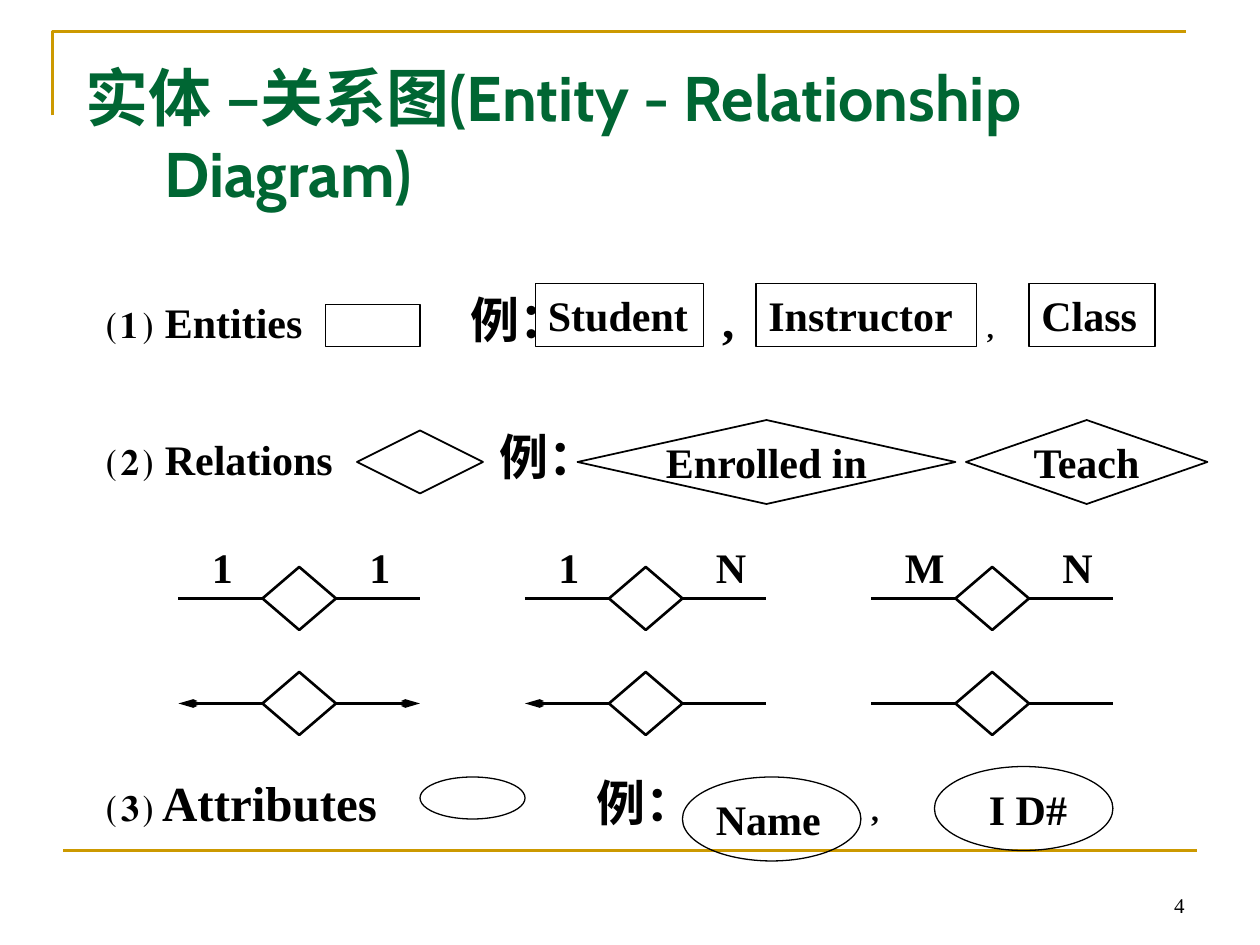
from pptx import Presentation
from pptx.dml.color import RGBColor
from pptx.enum.shapes import MSO_CONNECTOR, MSO_SHAPE
from pptx.enum.text import MSO_ANCHOR, MSO_AUTO_SIZE, PP_ALIGN
from pptx.oxml.ns import qn
from pptx.util import Pt
from lxml.etree import SubElement

PX = 7620  # EMU per px, 120 px to the inch
BLACK = RGBColor(0x00, 0x00, 0x00)
GREEN = RGBColor(0x00, 0x66, 0x33)
GOLD = RGBColor(0xCC, 0x99, 0x00)
SERIF = "Times New Roman"
SANS = "Cabin"


class SlideBuilder:
    def __init__(self, slide):
        self.slide = slide
        self.shapes = slide.shapes

    def start_group(self):
        self.shapes = self.slide.shapes.add_group_shape().shapes

    def style_outline(self, shape, color, width):
        shape.shadow.inherit = False
        shape.fill.background()
        shape.line.color.rgb = color
        shape.line.width = Pt(width)

    def fill_text(self, shape, runs, before=0, align=PP_ALIGN.LEFT,
                  anchor=MSO_ANCHOR.TOP, wrap=True, grow=True, tabs=(), hanging=0):
        """Each run is (text, size) or (text, size, font, color, bold)."""
        frame = shape.text_frame
        frame.word_wrap = wrap
        frame.auto_size = MSO_AUTO_SIZE.SHAPE_TO_FIT_TEXT if grow else MSO_AUTO_SIZE.NONE
        frame.vertical_anchor = anchor
        paragraph = frame.paragraphs[0]
        paragraph.alignment = align
        paragraph.space_before = Pt(before)
        properties = paragraph._p.get_or_add_pPr()
        if hanging:
            properties.set("marL", str(hanging * PX))
            properties.set("indent", str(-hanging * PX))
        if tabs:
            tab_list = SubElement(properties, qn("a:tabLst"))
            for position in tabs:
                SubElement(tab_list, qn("a:tab"), pos=str(position * PX), algn="l")
        for text, size, *style in runs:
            font_name, color, bold = style or (SERIF, BLACK, True)
            run = paragraph.add_run()
            run.text = text
            run.font.size = Pt(size)
            run.font.name = font_name
            run.font.bold = bold
            run.font.color.rgb = color

    def text(self, left, top, width, height, runs, **layout):
        box = self.shapes.add_textbox(left * PX, top * PX, width * PX, height * PX)
        self.fill_text(box, runs, **layout)

    def outline(self, kind, left, top, width, height, line_width=0.75, label="", **layout):
        shape = self.shapes.add_shape(kind, left * PX, top * PX, width * PX, height * PX)
        self.style_outline(shape, BLACK, line_width)
        if label:
            self.fill_text(shape, [(label, 24)], **layout)

    def line(self, x1, y1, x2, y2, color=BLACK, arrow_end=None):
        connector = self.shapes.add_connector(
            MSO_CONNECTOR.STRAIGHT, x1 * PX, y1 * PX, x2 * PX, y2 * PX)
        connector.line.color.rgb = color
        connector.line.width = Pt(1.5)
        properties = connector._element.spPr
        if arrow_end:
            SubElement(properties.find(qn("a:ln")), qn(arrow_end),
                       type="arrow", w="sm", len="lg")
        SubElement(properties, qn("a:effectLst"))

    def corner(self, points):
        builder = self.shapes.build_freeform(*points[0], scale=PX)
        builder.add_line_segments(points[1:], close=False)
        self.style_outline(builder.convert_to_shape(), GOLD, 1.5)


def main():
    presentation = Presentation()
    presentation.slide_width = 1200 * PX
    presentation.slide_height = 900 * PX
    slide = presentation.slides.add_slide(presentation.slide_layouts[6])
    page = SlideBuilder(slide)

    # Frame lines, page number and title
    page.corner([(50, 110), (50, 30), (1130, 30)])
    page.line(60, 810, 1140, 810, GOLD)
    page.text(860, 820, 280, 60, [("4", 12, SERIF, BLACK, False)],
              align=PP_ALIGN.RIGHT, anchor=MSO_ANCHOR.BOTTOM, grow=False)
    page.text(70, 50, 1030, 180, [
        ("实体 ", 36, SANS, GREEN, True),
        ("–", 36, SERIF, GREEN, True),
        ("关系图(Entity - Relationship Diagram)", 36, SANS, GREEN, True),
    ], before=9, grow=False, hanging=75)

    # Entities
    page.start_group()
    page.text(90, 270, 940, 101,
              [("⑴ ", 28), ("Entities\t", 24), ("例：\t,", 28), ("\t,", 16)],
              before=10, tabs=(346, 586, 838))
    page.outline(MSO_SHAPE.RECTANGLE, 310, 290, 90, 40)
    for name, left, width in (("Student", 510, 160), ("Instructor", 720, 210), ("Class", 980, 120)):
        page.outline(MSO_SHAPE.RECTANGLE, left, 270, width, 60, label=name, before=15)

    # Attributes
    page.start_group()
    page.text(90, 730, 970, 68, [("⑶ Attributes\t例：\t", 28), (",", 18)],
              before=11.2, tabs=(466, 728))
    for left, top, width, height in ((400, 740, 100, 40), (650, 740, 170, 80), (890, 730, 170, 80)):
        page.outline(MSO_SHAPE.OVAL, left, top, width, height)
    page.text(670, 750, 130, 60, [("Name", 24)], before=15)
    page.text(930, 740, 110, 60, [("I D#", 24)], before=15)

    # Relations
    page.start_group()
    page.text(90, 400, 520, 68, [("⑵ ", 28), ("Relations\t", 24), ("例：", 28)],
              before=17.5, tabs=(374,))
    page.outline(MSO_SHAPE.DIAMOND, 340, 410, 120, 60, 1)
    for name, left, width in (("Enrolled in", 550, 360), ("Teach", 920, 230)):
        page.outline(MSO_SHAPE.DIAMOND, left, 400, width, 80, 1, name, grow=False,
                     wrap=False, align=PP_ALIGN.CENTER, anchor=MSO_ANCHOR.MIDDLE)

    # Cardinalities: numbered links above, arrow links below
    page.start_group()
    cardinalities = (("1", "1"), ("1", "N"), ("M", "N"))
    for column, sides in enumerate(cardinalities):
        left = 170 + 330 * column
        for middle, with_arrows in ((570, False), (670, True)):
            ends = [end if with_arrows and side == "1" else None
                    for side, end in zip(sides, ("a:headEnd", "a:tailEnd"))]
            page.line(left, middle, left + 80, middle, arrow_end=ends[0])
            page.line(left + 150, middle, left + 230, middle, arrow_end=ends[1])
            page.outline(MSO_SHAPE.DIAMOND, left + 80, middle - 30, 70, 60, 1.5)
        for side, offset in zip(sides, (20, 170)):
            page.text(left + offset, 510, 40, 60, [(side, 24)], before=15)

    presentation.save("out.pptx")


if __name__ == "__main__":
    main()
